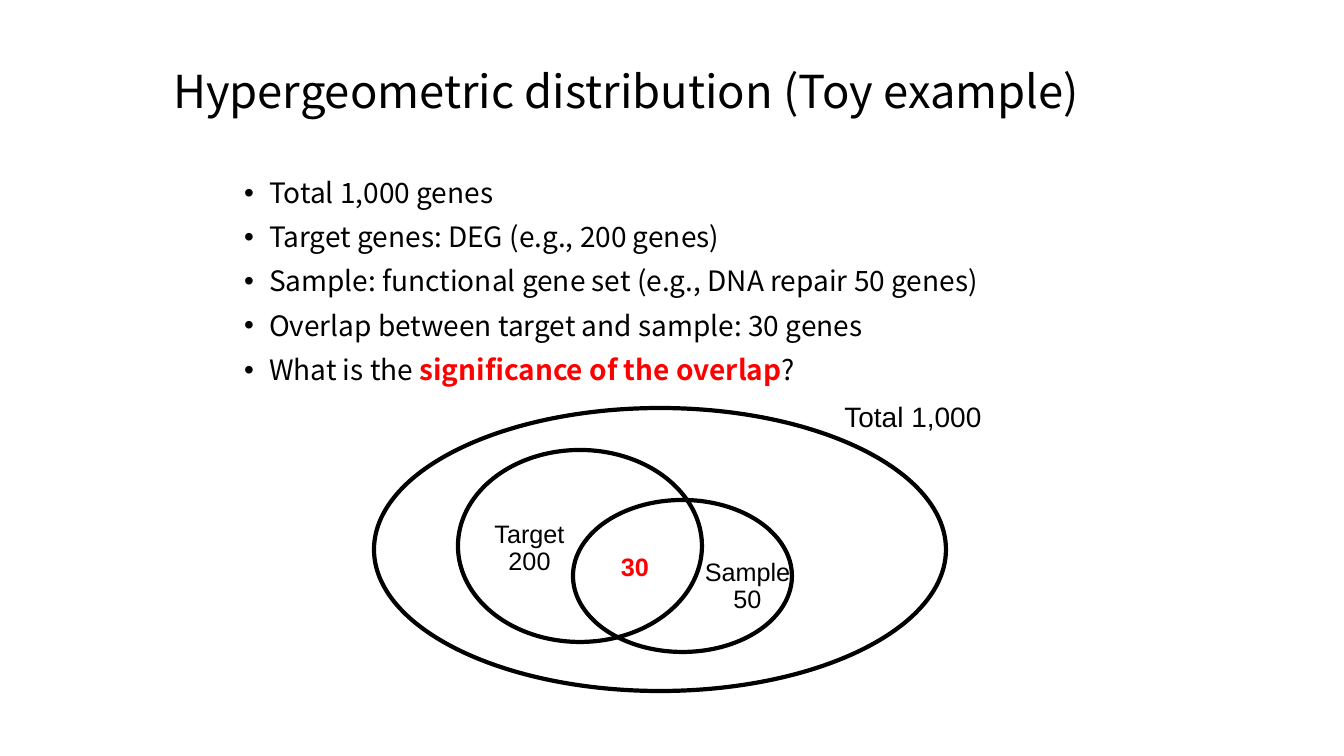
"""Build a slide on the hypergeometric distribution with a Venn diagram."""
from pptx import Presentation
from pptx.dml.color import RGBColor
from pptx.enum.shapes import MSO_SHAPE
from pptx.enum.text import MSO_ANCHOR, MSO_AUTO_SIZE, PP_ALIGN
from pptx.util import Pt

BLACK = RGBColor(0, 0, 0)
RED = RGBColor(255, 0, 0)
SANS = "Noto Sans CJK KR"
ARIAL = "Arial"
OVAL = MSO_SHAPE.OVAL
LEFT, CENTER = PP_ALIGN.LEFT, PP_ALIGN.CENTER
TOP, MIDDLE = MSO_ANCHOR.TOP, MSO_ANCHOR.MIDDLE
FIXED = MSO_AUTO_SIZE.NONE
GROW = MSO_AUTO_SIZE.SHAPE_TO_FIT_TEXT
PX = 914400 / 100.8

TITLE = [[("Hypergeometric distribution (Toy example)", BLACK)]]
BULLETS = [
    [("Total 1,000 genes", BLACK)],
    [("Target genes: DEG (e.g., 200 genes)", BLACK)],
    [("Sample: functional gene set (e.g., DNA repair 50 genes)", BLACK)],
    [("Overlap between target and sample: 30 genes", BLACK)],
    [("What is the ", BLACK), ("significance of the overlap", RED), ("?", BLACK)],
]
TITLE_BOX = (163, 41, 973, 105)
BODY_BOX = (234, 174, 875, 488)
OVALS = [(374, 408, 572, 283), (573, 500, 219, 152), (458, 450, 244, 192)]
LABELS = [
    ((834, 398, 158, 40), 20, BLACK, ["Total 1,000"]),
    ((694, 555, 107, 66), 18, BLACK, ["Sample", "50"]),
    ((484, 517, 91, 66), 18, BLACK, ["Target", "200"]),
    ((611, 550, 48, 38), 18, RED, ["30"]),
]


def emu(px):
    return round(px * PX)


def place(shape, box):
    shape.left, shape.top, shape.width, shape.height = map(emu, box)


def write(frame, lines, font, size, align):
    for i, line in enumerate(lines):
        para = frame.paragraphs[0] if i == 0 else frame.add_paragraph()
        para.alignment = align
        para.line_spacing = 0.9
        for text, color in line:
            run = para.add_run()
            run.text = text
            run.font.name = font
            run.font.size = Pt(size)
            run.font.color.rgb = color
            run.font.bold = color == RED


def fill_holder(shape, box, lines, size, anchor):
    place(shape, box)
    frame = shape.text_frame
    frame.auto_size = FIXED
    frame.word_wrap = True
    frame.vertical_anchor = anchor
    write(frame, lines, SANS, size, LEFT)


def add_oval(slide, box):
    oval = slide.shapes.add_shape(OVAL, *map(emu, box))
    oval.shadow.inherit = False
    oval.fill.background()
    oval.line.color.rgb = BLACK
    oval.line.width = Pt(3)


def add_label(slide, box, size, color, lines):
    frame = slide.shapes.add_textbox(*map(emu, box)).text_frame
    frame.word_wrap = False
    frame.auto_size = GROW
    write(frame, [[(line, color)] for line in lines], ARIAL, size, CENTER)


def main():
    deck = Presentation()
    deck.slide_width, deck.slide_height = emu(1344), emu(756)
    slide = deck.slides.add_slide(deck.slide_layouts[1])
    body = slide.placeholders[1]
    fill_holder(slide.shapes.title, TITLE_BOX, TITLE, 32.4, MIDDLE)
    fill_holder(body, BODY_BOX, BULLETS, 20, TOP)
    for para in body.text_frame.paragraphs:
        para.space_before = Pt(10)
        props = para._p.get_or_add_pPr()
        props.set("marL", str(emu(25)))
        props.set("indent", str(emu(-25)))
    for box in OVALS:
        add_oval(slide, box)
    for label in LABELS:
        add_label(slide, *label)
    deck.save("out.pptx")


if __name__ == "__main__":
    main()
